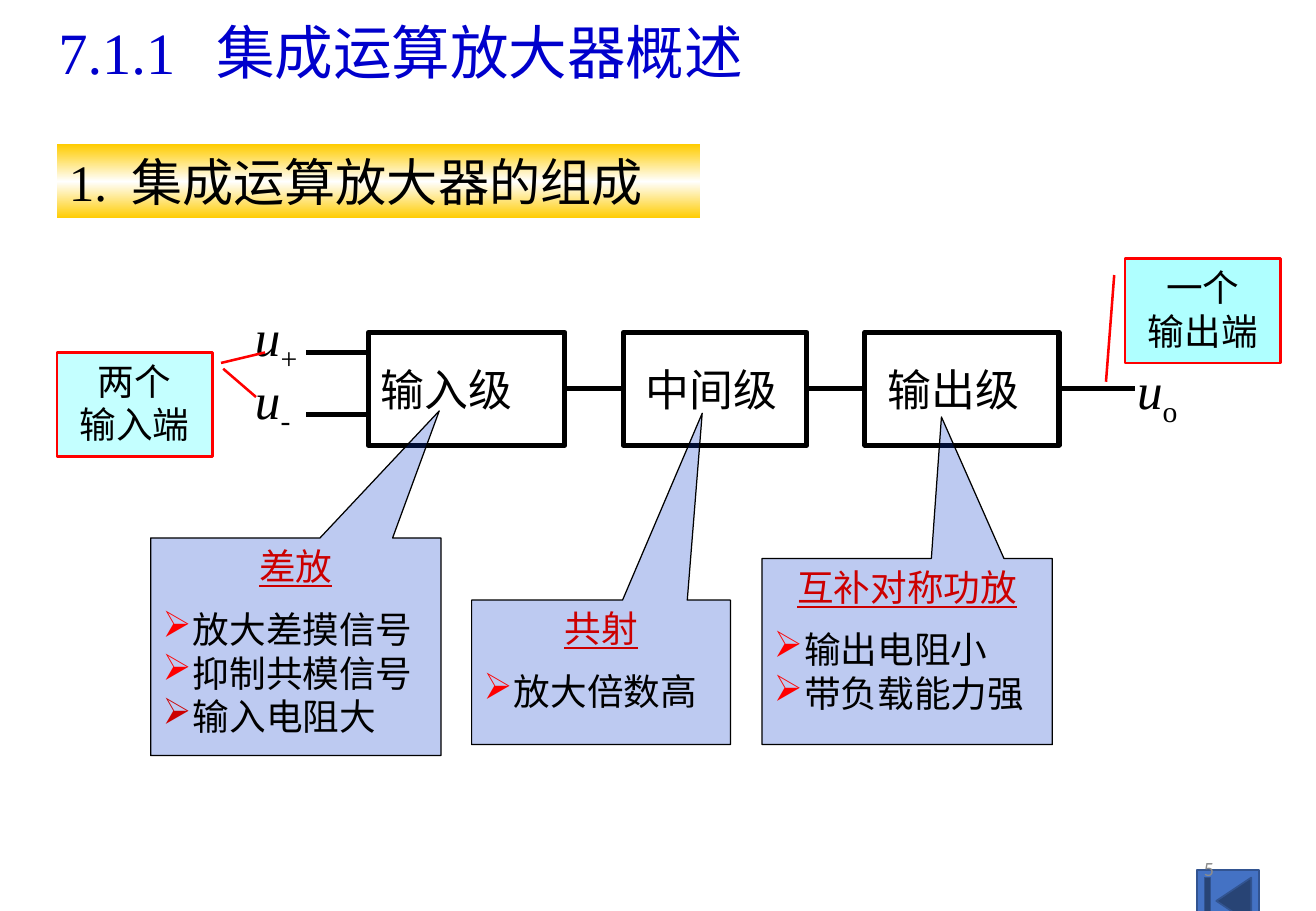
import pptx
import pptx.util
import pptx.dml.color
import pptx.enum.shapes
import pptx.enum.text
import pptx.oxml
import pptx.oxml.ns
from lxml import etree

Cm, Pt = pptx.util.Cm, pptx.util.Pt
SHAPE = pptx.enum.shapes.MSO_SHAPE
ALIGN = pptx.enum.text.PP_ALIGN
ANCHOR = pptx.enum.text.MSO_ANCHOR
qn = pptx.oxml.ns.qn

COLORS = {
    "ink": "000000", "paper": "FFFFFF", "title": "0000CC", "gold": "FFCC00",
    "note": "0033CC", "heading": "CC0000", "red": "FF0000", "cyan": "66FFFF",
    "button": "4472C4", "button_edge": "325491", "grey": "8C8C8C",
}
SERIF, SANS, NUMBER = "Times New Roman", "Noto Sans CJK SC", "Calibri"


def rgb(name):
    return pptx.dml.color.RGBColor.from_string(COLORS[name])


def add_text(paragraph, text, size=21.7, font=SERIF, color="ink", italic=False,
             underline=False, subscript=False):
    run = paragraph.add_run()
    run.text = text
    run.font.size, run.font.name = Pt(size), font
    run.font.color.rgb = rgb(color)
    run.font.italic, run.font.underline = italic, underline
    if subscript:
        run._r.get_or_add_rPr().set("baseline", "-25000")


def add_bullet(paragraph, color):
    props = paragraph._p.get_or_add_pPr()
    props.set("marL", str(Cm(0.63)))
    props.set("indent", str(-Cm(0.63)))
    bullet_color = etree.SubElement(props, qn("a:buClr"))
    etree.SubElement(bullet_color, qn("a:srgbClr"), val=COLORS[color])
    etree.SubElement(props, qn("a:buChar"), char="➢")


def add_tab_stop(paragraph, position):
    stops = etree.SubElement(paragraph._p.get_or_add_pPr(), qn("a:tabLst"))
    etree.SubElement(stops, qn("a:tab"), pos=str(Cm(position)), algn="l")


class Diagram:
    def __init__(self, slide):
        self.shapes = slide.shapes

    def box(self, kind, area, fill, line=None, width=1, opacity=None, adjust=()):
        """Draw a preset shape; area is left, top, width, height in cm."""
        shape = self.shapes.add_shape(kind, *map(Cm, area))
        shape.shadow.inherit = False
        for index, value in enumerate(adjust):
            shape.adjustments[index] = value
        shape.fill.solid()
        shape.fill.fore_color.rgb = rgb(fill)
        if opacity:
            color = shape._element.spPr.find(".//" + qn("a:srgbClr"))
            etree.SubElement(color, qn("a:alpha"), val=str(opacity * 1000))
        if line:
            shape.line.color.rgb = rgb(line)
            shape.line.width = Pt(width)
        else:
            shape.line.fill.background()
        shape.text_frame.word_wrap = True
        shape.text_frame.vertical_anchor = ANCHOR.TOP
        return shape

    def label(self, area, align=ALIGN.LEFT, anchor=ANCHOR.TOP):
        """Add an empty text box and return its paragraph."""
        frame = self.shapes.add_textbox(*map(Cm, area)).text_frame
        frame.word_wrap = True
        frame.vertical_anchor = anchor
        frame.paragraphs[0].alignment = align
        return frame.paragraphs[0]

    def wire(self, x1, y1, x2, y2, color="ink", width=3, source=None, target=None):
        wire = self.shapes.add_connector(
            pptx.enum.shapes.MSO_CONNECTOR.STRAIGHT, Cm(x1), Cm(y1), Cm(x2), Cm(y2))
        wire.line.color.rgb = rgb(color)
        wire.line.width = Pt(width)
        etree.SubElement(wire._element.spPr, qn("a:effectLst"))
        if source:
            wire.begin_connect(source, 3)
        if target:
            wire.end_connect(target, 1)

    def stage(self, text, left, width, indent):
        stage = self.box(SHAPE.RECTANGLE, (left, 6.95, width, 2.36), "paper", "ink", 3)
        frame = stage.text_frame
        frame.margin_left = Cm(indent)
        frame.vertical_anchor = ANCHOR.MIDDLE
        frame.paragraphs[0].alignment = ALIGN.LEFT
        add_text(frame.paragraphs[0], text, size=26)
        return stage

    def signal(self, index, left, top):
        paragraph = self.label((left, top, 2.06, 1.55))
        add_text(paragraph, "u", size=30.3, italic=True)
        add_text(paragraph, index, size=30.3, subscript=True)

    def heading(self, text, area):
        """Draw the section heading on a gold band that is white in the middle."""
        band = self.box(SHAPE.RECTANGLE, area, "gold")
        band.fill.gradient()
        band.fill.gradient_angle = 90
        stops = band._element.spPr.find(".//" + qn("a:gsLst"))
        for stop in list(stops):
            stops.remove(stop)
        for position, color in ((0, "gold"), (50, "paper"), (100, "gold")):
            stop = etree.SubElement(stops, qn("a:gs"), pos=str(position * 1000))
            etree.SubElement(stop, qn("a:srgbClr"), val=COLORS[color])
        paragraph = band.text_frame.paragraphs[0]
        paragraph.alignment = ALIGN.LEFT
        add_tab_stop(paragraph, 1.3)
        add_text(paragraph, text, size=30.3)

    def note(self, title, features, area, tip):
        note = self.box(SHAPE.RECTANGULAR_CALLOUT, area, "note", "ink", 0.75, 26, tip)
        frame = note.text_frame
        frame.paragraphs[0].alignment = ALIGN.CENTER
        add_text(frame.paragraphs[0], title, color="heading", underline=True)
        for index, feature in enumerate(features):
            paragraph = frame.add_paragraph()
            paragraph.alignment = ALIGN.LEFT
            if index == 0:
                paragraph.space_before = Pt(11)
            add_bullet(paragraph, "heading" if index == 2 else "red")
            add_text(paragraph, feature)

    def terminal(self, lines, left, top, opacity, pointer):
        terminal = self.box(SHAPE.LINE_CALLOUT_1, (left, top, 3.25, 2.18), "cyan",
                            "red", 1.5, opacity, pointer)
        frame = terminal.text_frame
        for index, line in enumerate(lines):
            paragraph = frame.add_paragraph() if index else frame.paragraphs[0]
            paragraph.alignment = ALIGN.CENTER
            add_text(paragraph, line, font=SANS)


def main():
    deck = pptx.Presentation()
    deck.slide_width, deck.slide_height = Cm(27.51), Cm(19.05)
    diagram = Diagram(deck.slides.add_slide(deck.slide_layouts[6]))

    input_stage = diagram.stage("输入级", 7.7, 4.11, 0.25)
    middle_stage = diagram.stage("中间级", 13.03, 3.84, 0.46)
    output_stage = diagram.stage("输出级", 18.08, 4.06, 0.48)
    for index, left, top in (("+", 5.08, 6.27), ("-", 5.08, 7.57), ("o", 23.52, 7.37)):
        diagram.signal(index, left, top)
    for y in (7.37, 8.66):
        diagram.wire(6.4, y, 7.7, y)
    diagram.wire(11.81, 8.13, 13.03, 8.13, source=input_stage, target=middle_stage)
    diagram.wire(16.87, 8.13, 18.08, 8.13, source=middle_stage, target=output_stage)
    diagram.wire(22.14, 8.13, 23.72, 8.13, source=output_stage)

    title = diagram.label((0.97, 0.2, 17.55, 1.73))
    add_tab_stop(title, 3.3)
    add_text(title, "7.1.1\t集成运算放大器概述", size=34.7, color="title")
    diagram.heading("1.\t集成运算放大器的组成", (1.19, 3.02, 13.44, 1.55))

    diagram.note("差放", ("放大差摸信号", "抑制共模信号", "输入电阻大"),
                 (3.15, 11.25, 6.07, 4.55), (0.494, -1.084))
    diagram.note("共射", ("放大倍数高",), (9.86, 12.55, 5.41, 3.02), (0.391, -1.794))
    diagram.note("互补对称功放", ("输出电阻小", "带负载能力强"),
                 (15.93, 11.68, 6.07, 3.89), (0.118, -1.261))

    diagram.terminal(("两个", "输入端"), 1.19, 7.37, 38, (0.157, 1.07, 0.428, 1.281))
    diagram.wire(4.62, 7.59, 5.54, 7.37, color="red", width=1.5)
    diagram.terminal(("一个", "输出端"), 23.52, 5.41, 52, (0.157, -0.07, 1.181, -0.123))

    diagram.box(SHAPE.ACTION_BUTTON_BEGINNING, (25.02, 18.19, 1.3, 1.3), "button",
                "button_edge")
    page_number = diagram.label((19.43, 17.65, 6.2, 1.02), ALIGN.RIGHT, ANCHOR.MIDDLE)
    add_text(page_number, "5", size=12, font=NUMBER, color="grey")
    deck.save("out.pptx")


if __name__ == "__main__":
    main()
